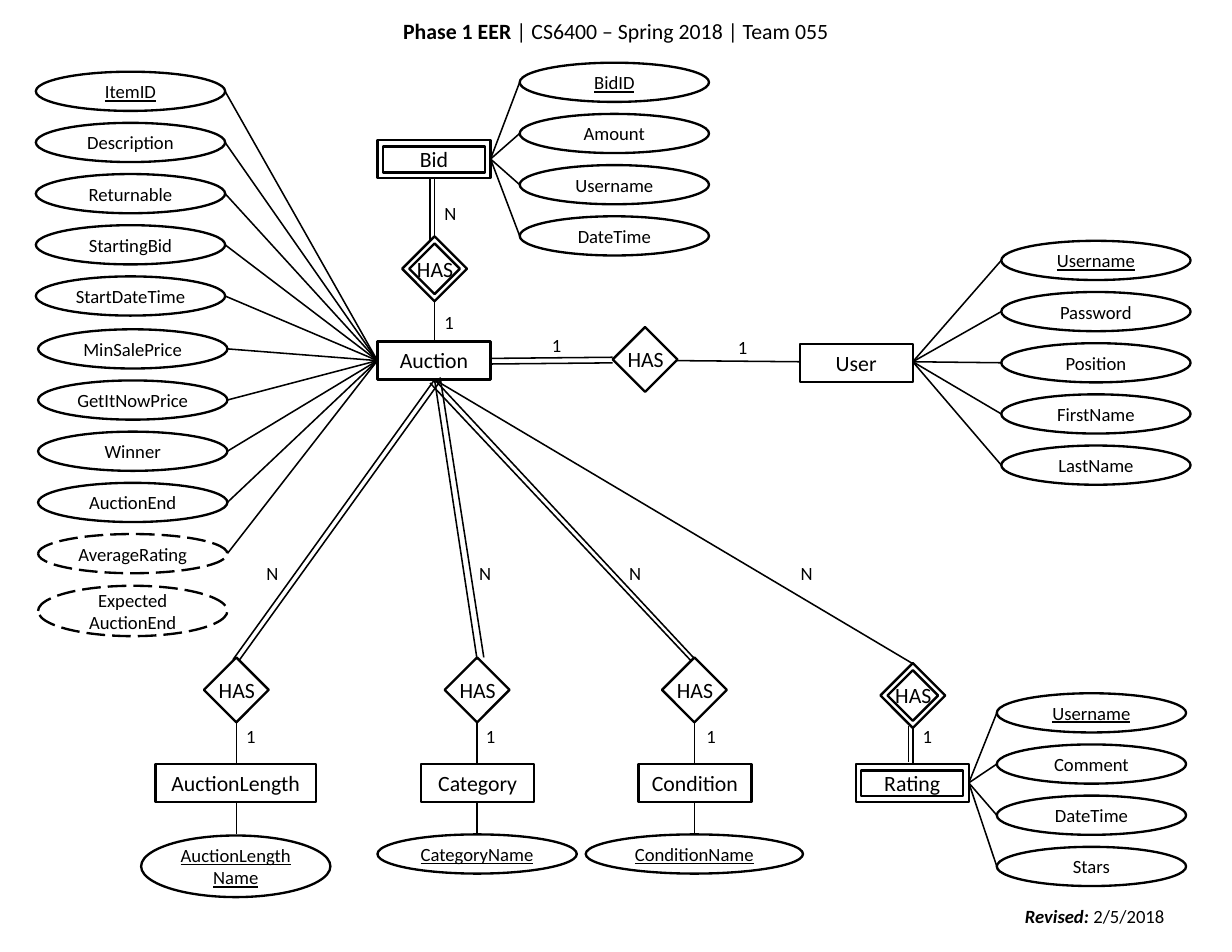
from typing import NamedTuple

from lxml import etree
from pptx import Presentation
from pptx.dml.color import RGBColor
from pptx.enum.dml import MSO_LINE
from pptx.enum.shapes import MSO_CONNECTOR, MSO_SHAPE
from pptx.enum.text import MSO_ANCHOR, PP_ALIGN
from pptx.oxml.ns import qn
from pptx.util import Inches, Pt

BLACK = RGBColor(0, 0, 0)
WHITE = RGBColor(255, 255, 255)
FONT = "Calibri"
OVAL, RECT = MSO_SHAPE.OVAL, MSO_SHAPE.RECTANGLE
STRAIGHT, LONG_DASH = MSO_CONNECTOR.STRAIGHT, MSO_LINE.LONG_DASH
TOP, MIDDLE = MSO_ANCHOR.TOP, MSO_ANCHOR.MIDDLE
LEFT, CENTER = PP_ALIGN.LEFT, PP_ALIGN.CENTER

ATTRIBUTE_WIDTH, ATTRIBUTE_HEIGHT, ATTRIBUTE_PITCH = 1.69, 0.35, 0.457
ENTITY_HEIGHT = 0.34
DIAMOND_SIDE, INNER_DIAMOND_SIDE = 0.41, 0.32


class Attribute(NamedTuple):
    name: str
    left: float
    top: float
    width: float = ATTRIBUTE_WIDTH
    height: float = ATTRIBUTE_HEIGHT
    key: bool = False
    derived: bool = False


class AttributeColumn(NamedTuple):
    names: list[str]
    left: float
    top: float
    hub: tuple[float, float]
    has_key: bool = True
    derived: tuple[str, ...] = ()


class Entity(NamedTuple):
    name: str
    left: float
    top: float
    width: float = 1.01
    weak: bool = False


class Relationship(NamedTuple):
    center_x: float
    center_y: float
    weak: bool = False
    filled: bool = False


class Link(NamedTuple):
    x1: float
    y1: float
    x2: float
    y2: float


class Cardinality(NamedTuple):
    mark: str
    left: float
    top: float


AUCTION_HUB = (3.37, 3.22)
COLUMNS = [
    AttributeColumn(["ItemID", "Description", "Returnable", "StartingBid", "StartDateTime"],
                    0.32, 0.64, AUCTION_HUB),
    AttributeColumn(["MinSalePrice", "GetItNowPrice", "Winner", "AuctionEnd", "AverageRating"],
                    0.34, 2.94, AUCTION_HUB, False, ("AverageRating",)),
    AttributeColumn(["BidID", "Amount", "Username", "DateTime"], 4.64, 0.56, (4.38, 1.42)),
    AttributeColumn(["Username", "Password", "Position", "FirstName", "LastName"],
                    8.94, 2.15, (8.15, 3.23)),
    AttributeColumn(["Username", "Comment", "DateTime", "Stars"], 8.9, 6.19, (8.65, 6.99)),
]
SINGLE_ATTRIBUTES = [
    Attribute("Expected\vAuctionEnd", 0.34, 5.23, height=0.45, derived=True),
    Attribute("AuctionLengthName", 1.26, 7.46, height=0.55, key=True),
    Attribute("CategoryName", 3.37, 7.45, 1.78, key=True),
    Attribute("ConditionName", 5.23, 7.45, 1.94, key=True),
]
ENTITIES = [
    Entity("Auction", 3.37, 3.05),
    Entity("Bid", 3.37, 1.25, weak=True),
    Entity("User", 7.14, 3.07),
    Entity("AuctionLength", 1.39, 6.82, 1.43),
    Entity("Category", 3.76, 6.82),
    Entity("Condition", 5.7, 6.82),
    Entity("Rating", 7.64, 6.82, weak=True),
]
RELATIONSHIPS = [
    Relationship(3.88, 2.4, weak=True, filled=True),
    Relationship(5.76, 3.21),
    Relationship(2.11, 6.16),
    Relationship(4.26, 6.16),
    Relationship(6.2, 6.16),
    Relationship(8.15, 6.21, weak=True),
]
LINKS = [
    # Bid to Auction, doubled on the Bid side
    Link(3.88, 1.59, 3.88, 3.05), Link(3.84, 1.59, 3.84, 2.14),
    # Auction to User, doubled on the Auction side
    Link(4.38, 3.25, 5.47, 3.24), Link(4.38, 3.2, 5.47, 3.19), Link(6.04, 3.22, 7.14, 3.23),
    # Auction down to the lower relationships
    Link(3.88, 3.39, 2.08, 5.89), Link(3.94, 3.39, 2.14, 5.89),
    Link(3.88, 3.39, 4.26, 5.89), Link(3.93, 3.37, 4.32, 5.87),
    Link(3.88, 3.39, 6.2, 5.88), Link(3.84, 3.42, 6.17, 5.9),
    Link(3.88, 3.39, 8.14, 5.92),
    # Rating, doubled
    Link(8.15, 6.82, 8.15, 6.5), Link(8.11, 6.8, 8.11, 6.48),
]
for lookup_x in (2.11, 4.26, 6.2):
    LINKS += [Link(lookup_x, 6.82, lookup_x, 6.44), Link(lookup_x, 7.45, lookup_x, 7.15)]
CARDINALITIES = [
    *(Cardinality("1", left, 6.42) for left in (2.1, 4.24, 6.21, 8.14)),
    *(Cardinality("N", left, 4.97) for left in (2.28, 4.18, 5.52, 7.05)),
    Cardinality("1", 4.83, 2.93), Cardinality("1", 6.49, 2.95),
    Cardinality("1", 3.87, 2.73), Cardinality("N", 3.87, 1.75),
]

prs = Presentation()
prs.slide_width, prs.slide_height = Inches(11), Inches(8.5)
slide = prs.slides.add_slide(prs.slide_layouts[6])


def style_text(shape, size: int, align=CENTER, anchor=TOP, underline: bool = False) -> None:
    frame = shape.text_frame
    frame.word_wrap = True
    frame.vertical_anchor = anchor
    for paragraph in frame.paragraphs:
        paragraph.alignment = align
        for run in paragraph.runs:
            run.font.name, run.font.size = FONT, Pt(size)
            run.font.color.rgb = BLACK
            if underline:
                run.font.underline = True


def draw_outline(kind, left: float, top: float, width: float, height: float,
                 filled: bool = False):
    shape = slide.shapes.add_shape(kind, Inches(left), Inches(top), Inches(width), Inches(height))
    shape.shadow.inherit = False
    if filled:
        shape.fill.solid()
        shape.fill.fore_color.rgb = WHITE
    else:
        shape.fill.background()
    shape.line.color.rgb, shape.line.width = BLACK, Pt(1.5)
    return shape


def draw_text(runs: list[str], left: float, top: float, width: float, height: float,
              size: int, align=CENTER):
    box = slide.shapes.add_textbox(Inches(left), Inches(top), Inches(width), Inches(height))
    for text in runs:
        box.text_frame.paragraphs[0].add_run().text = text
    style_text(box, size, align)
    return box


def draw_link(link: Link) -> None:
    line = slide.shapes.add_connector(STRAIGHT, *(Inches(value) for value in link))
    line.line.color.rgb, line.line.width = BLACK, Pt(1)
    etree.SubElement(line._element.spPr, qn("a:effectLst"))


def draw_attribute(attribute: Attribute) -> None:
    oval = draw_outline(OVAL, *attribute[1:5], filled=True)
    if attribute.derived:
        oval.line.dash_style = LONG_DASH
    oval.text_frame.text = attribute.name
    style_text(oval, 12, anchor=MIDDLE, underline=attribute.key)


def draw_column(column: AttributeColumn) -> None:
    for row, name in enumerate(column.names):
        top = column.top + row * ATTRIBUTE_PITCH
        on_left = column.left < column.hub[0]
        edge = column.left + (ATTRIBUTE_WIDTH if on_left else 0)
        draw_link(Link(edge, top + ATTRIBUTE_HEIGHT / 2, *column.hub))
        draw_attribute(Attribute(name, column.left, top, key=column.has_key and row == 0,
                                 derived=name in column.derived))


def draw_entity(entity: Entity) -> None:
    box = draw_outline(RECT, entity.left, entity.top, entity.width, ENTITY_HEIGHT)
    box.text_frame.text = entity.name
    style_text(box, 14)
    if entity.weak:
        draw_outline(RECT, entity.left + 0.05, entity.top + 0.06, entity.width - 0.1, 0.23)


def draw_relationship(relationship: Relationship) -> None:
    x, y, weak, filled = relationship
    sides = [DIAMOND_SIDE, INNER_DIAMOND_SIDE] if weak else [DIAMOND_SIDE]
    for side in sides:
        diamond = draw_outline(RECT, x - side / 2, y - side / 2, side, side,
                               filled and side == DIAMOND_SIDE)
        diamond.rotation = 45
    draw_text(["HAS"], x - 0.28, y - 0.17, 0.57, 0.34, 14)


# Links and attributes
for link in LINKS:
    draw_link(link)
for column in COLUMNS:
    draw_column(column)
for attribute in SINGLE_ATTRIBUTES:
    draw_attribute(attribute)

# Entities, relationships and cardinalities
for entity in ENTITIES:
    draw_entity(entity)
for relationship in RELATIONSHIPS:
    draw_relationship(relationship)
for mark, left, top in CARDINALITIES:
    draw_text([mark], left, top, 0.33, 0.3, 12, LEFT)

# Title and revision date
title = draw_text(["Phase 1 EER", " | CS6400 – Spring 2018 | Team 055"], 0, 0.11, 11, 0.34, 14)
title.text_frame.paragraphs[0].runs[0].font.bold = True
revision = draw_text(["Revised: ", "2/5/2018"], 8.46, 8.03, 2.63, 0.3, 12)
revised_font = revision.text_frame.paragraphs[0].runs[0].font
revised_font.bold = revised_font.italic = True

prs.save("out.pptx")
